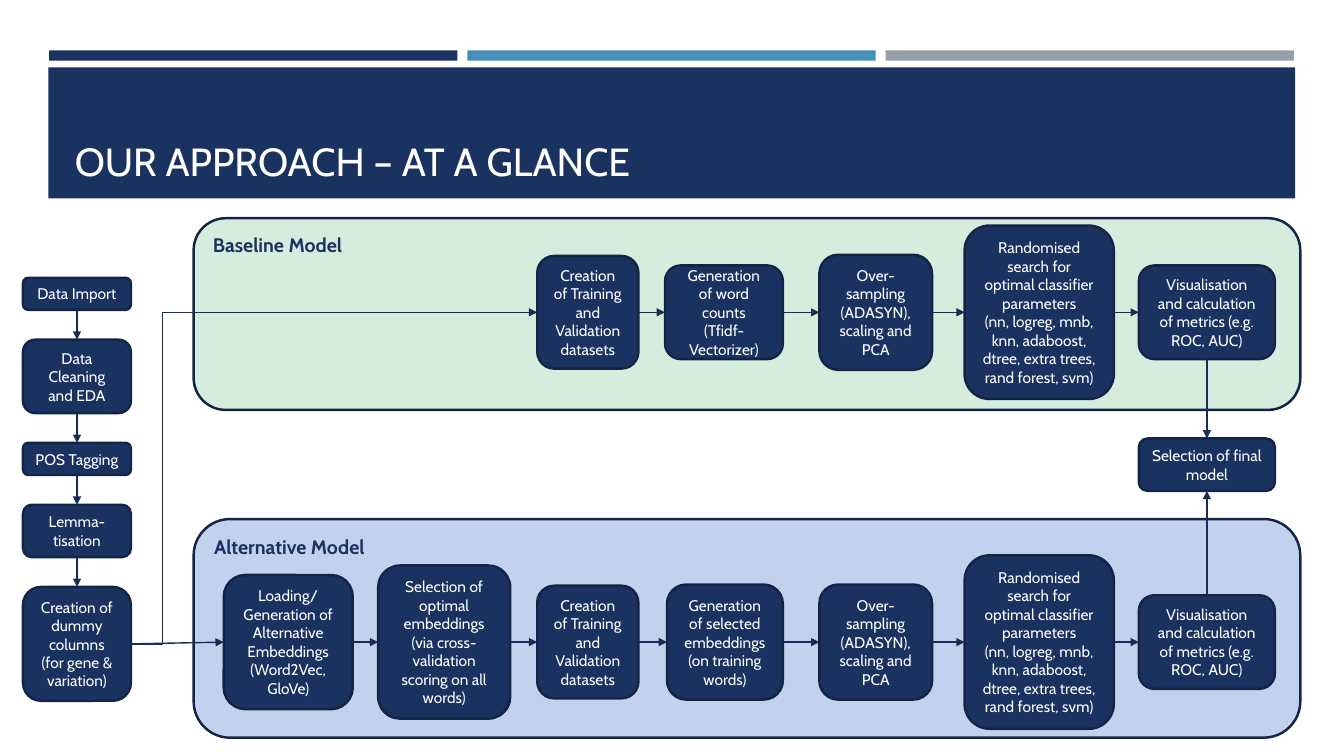
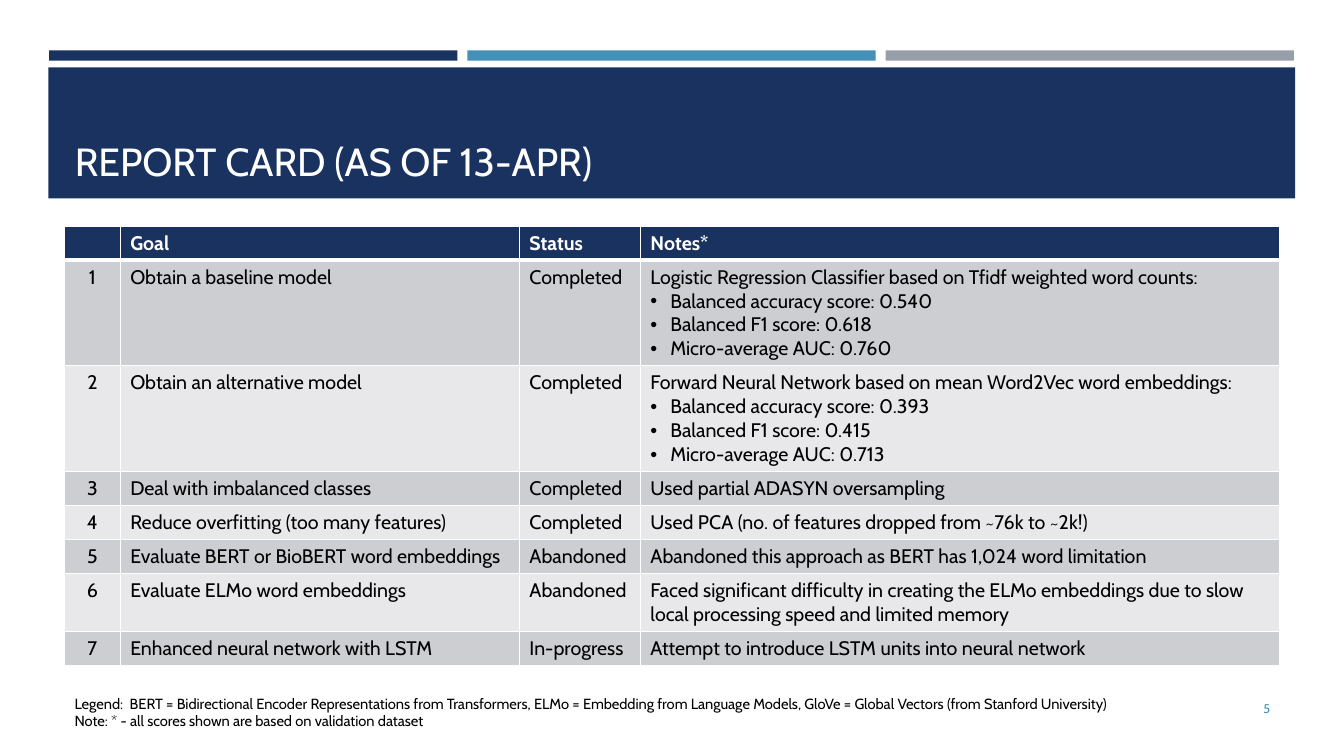
from itertools import pairwise

from lxml.etree import SubElement
from pptx import Presentation
from pptx.dml.color import RGBColor
from pptx.enum.shapes import MSO_CONNECTOR as Connector, MSO_SHAPE as Shape
from pptx.enum.text import MSO_ANCHOR as Anchor, PP_ALIGN as Align
from pptx.oxml.ns import qn
from pptx.util import Cm, Pt

COLOURS = {
    "navy": "1A3260", "outline": "132547", "arrow": "172D56",
    "blue": "4590B8", "grey": "969FA7", "white": "FFFFFF", "black": "000000",
    "green band": "D6EDDE", "blue band": "C2D1EE",
    "odd row": "CDCED2", "even row": "E8E8EA",
}
FONT = "Cabin"
TOP, LEFT, BOTTOM, RIGHT = range(4)  # connection sites of a box

# Each step: left edge within its band, width, height, text
TRAINING = (8.66, 2.55, 2.84, "Creation of Training and Validation datasets")
COMMON_STEPS = [
    (15.77, 2.84, 2.9, "Over-sampling\n(ADASYN), scaling and PCA"),
    (19.43, 3.76, 4.37, "Randomised search for optimal classifier parameters\n"
     "(nn, logreg, mnb, knn, adaboost, dtree, extra trees, rand forest, svm)"),
    (23.82, 3.43, 2.36, "Visualisation and calculation of metrics (e.g. ROC, AUC)"),
]
BASELINE_STEPS = [
    TRAINING,
    (11.88, 2.97, 2.36, "Generation of word counts\n(Tfidf-Vectorizer)"),
    *COMMON_STEPS,
]
ALTERNATIVE_STEPS = [
    (0.76, 3.25, 3.38, "Loading/ Generation of Alternative Embeddings\n(Word2Vec, GloVe)"),
    (4.65, 3.33, 3.86, "Selection of optimal embeddings\n"
     "(via cross-validation scoring on all words)"),
    TRAINING,
    (11.93, 2.92, 2.9, "Generation of selected embeddings\n(on training words)"),
    *COMMON_STEPS,
]
PREPARATION_STEPS = [  # height, text
    (0.81, "Data Import"),
    (1.85, "Data Cleaning and EDA"),
    (0.81, "POS Tagging"),
    (1.32, "Lemma-tisation"),
    (2.87, "Creation of dummy columns\n(for gene & variation)"),
]

COLUMN_WIDTHS = [1.4, 10.06, 3.05, 16.12]
ROW_HEIGHTS = [0.85, 2.66, 2.66, 0.85, 0.85, 0.85, 1.47, 0.85]
GOALS = [
    ("", "Goal", "Status", "Notes*"),
    ("1", "Obtain a baseline model", "Completed",
     "Logistic Regression Classifier based on Tfidf weighted word counts:\n"
     "Balanced accuracy score: 0.540\nBalanced F1 score: 0.618\nMicro-average AUC: 0.760"),
    ("2", "Obtain an alternative model", "Completed",
     "Forward Neural Network based on mean Word2Vec word embeddings:\n"
     "Balanced accuracy score: 0.393\nBalanced F1 score: 0.415\nMicro-average AUC: 0.713"),
    ("3", "Deal with imbalanced classes", "Completed", "Used partial ADASYN oversampling"),
    ("4", "Reduce overfitting (too many features)", "Completed",
     "Used PCA (no. of features dropped from ~76k to ~2k!)"),
    ("5", "Evaluate BERT or BioBERT word embeddings", "Abandoned",
     "Abandoned this approach as BERT has 1,024 word limitation"),
    ("6", "Evaluate ELMo word embeddings", "Abandoned",
     "Faced significant difficulty in creating the ELMo embeddings due to slow "
     "local processing speed and limited memory"),
    ("7", "Enhanced neural network with LSTM", "In-progress",
     "Attempt to introduce LSTM units into neural network"),
]
LEGEND = (
    "Legend:  BERT = Bidirectional Encoder Representations from Transformers, "
    "ELMo = Embedding from Language Models, GloVe = Global Vectors (from Stanford University)\n"
    "Note: * - all scores shown are based on validation dataset"
)


def colour(name):
    return RGBColor.from_string(COLOURS[name])


def lengths(box):
    return [Cm(value) for value in box]


def write(text_frame, text, size, colour_name, align=Align.LEFT, bold=False):
    text_frame.text = text
    for paragraph in text_frame.paragraphs:
        paragraph.alignment = align
        for run in paragraph.runs:
            run.font.name, run.font.size, run.font.bold = FONT, Pt(size), bold
            run.font.color.rgb = colour(colour_name)


def add_panel(slide, kind, box, fill, outline=None):
    shape = slide.shapes.add_shape(kind, *lengths(box))
    shape.shadow.inherit = False
    shape.fill.solid()
    shape.fill.fore_color.rgb = colour(fill)
    if outline:
        shape.line.color.rgb = colour(outline)
        shape.line.width = Pt(1.75)
    else:
        shape.line.fill.background()
    return shape


def add_text(slide, box, text, size, colour_name, align=Align.LEFT, anchor=Anchor.TOP):
    text_frame = slide.shapes.add_textbox(*lengths(box)).text_frame
    text_frame.word_wrap = True
    text_frame.vertical_anchor = anchor
    write(text_frame, text, size, colour_name, align)


def add_titled_slide(presentation, title_text):
    slide = presentation.slides.add_slide(presentation.slide_layouts[5])
    # Accent bars and title band
    for index, name in enumerate(("navy", "blue", "grey")):
        add_panel(slide, Shape.RECTANGLE, (1.24 + 10.54 * index, 1.27, 10.29, 0.26), name)
    add_panel(slide, Shape.RECTANGLE, (1.22, 1.7, 31.42, 3.3), "navy")
    # Title, brought in front of the band
    title = slide.shapes.title
    title.left, title.top, title.width, title.height = lengths((1.63, 1.96, 30.63, 2.82))
    title.text_frame.vertical_anchor = Anchor.BOTTOM
    write(title.text_frame, title_text, 28, "white")
    slide.shapes._spTree.append(title._element)
    return slide


def add_step(slide, box, text):
    shape = add_panel(slide, Shape.ROUNDED_RECTANGLE, box, "navy", "outline")
    shape.text_frame.word_wrap = True
    shape.text_frame.vertical_anchor = Anchor.MIDDLE
    write(shape.text_frame, text, 11, "white", Align.CENTER)
    return shape


def add_arrow(slide, start, start_site, end, end_site, bend=None):
    kind = Connector.STRAIGHT if bend is None else Connector.ELBOW
    arrow = slide.shapes.add_connector(kind, 0, 0, 0, 0)
    arrow.begin_connect(start, start_site)
    arrow.end_connect(end, end_site)
    arrow.line.color.rgb = colour("arrow")
    arrow.line.width = Pt(1)
    SubElement(arrow.line._get_or_add_ln(), qn("a:tailEnd"), type="triangle")
    properties = arrow._element.spPr
    SubElement(properties, qn("a:effectLst"))
    if bend is not None:
        adjustments = properties.find(".//" + qn("a:avLst"))
        SubElement(adjustments, qn("a:gd"), name="adj1", fmla=f"val {bend}")


def add_model_band(slide, box, fill, heading, steps, axis):
    """Draw a band whose steps are centred on axis, measured from its top."""
    left, top, _, _ = box
    band = add_panel(slide, Shape.ROUNDED_RECTANGLE, box, fill, "outline")
    band.text_frame.vertical_anchor = Anchor.TOP
    write(band.text_frame, heading, 14, "navy", bold=True)
    shapes = [
        add_step(slide, (left + offset, top + axis - height / 2, width, height), text)
        for offset, width, height, text in steps
    ]
    for start, end in pairwise(shapes):
        add_arrow(slide, start, RIGHT, end, LEFT)
    return shapes


def add_preparation(slide, left, top, width, gap):
    shapes = []
    for height, text in PREPARATION_STEPS:
        shapes.append(add_step(slide, (left, top, width, height), text))
        top += height + gap
    for start, end in pairwise(shapes):
        add_arrow(slide, start, BOTTOM, end, TOP)
    return shapes


def build_approach_slide(presentation):
    slide = add_titled_slide(presentation, "OUR APPROACH – AT A GLANCE")
    baseline = add_model_band(slide, (4.88, 5.5, 27.89, 4.83), "green band",
                              "Baseline Model", BASELINE_STEPS, 2.37)
    alternative = add_model_band(slide, (4.88, 13.08, 27.89, 5.51), "blue band",
                                 "Alternative Model", ALTERNATIVE_STEPS, 3.1)
    preparation = add_preparation(slide, 0.58, 7, 2.72, 0.75)
    final = add_step(slide, (28.7, 11.05, 3.43, 1.32), "Selection of final model")
    # Arrows between the regions
    add_arrow(slide, preparation[-1], RIGHT, baseline[0], LEFT, bend=7800)
    add_arrow(slide, preparation[-1], RIGHT, alternative[0], LEFT)
    add_arrow(slide, baseline[-1], BOTTOM, final, TOP)
    add_arrow(slide, alternative[-1], TOP, final, BOTTOM)


def add_bullet(paragraph):
    properties = paragraph._p.get_or_add_pPr()
    properties.set("marL", str(Cm(0.5)))
    properties.set("indent", str(-Cm(0.5)))
    SubElement(properties, qn("a:buFont"), typeface="Arial")
    SubElement(properties, qn("a:buChar"), char="•")


def add_borders(cell, bottom_width):
    for side, width in (("L", 1), ("R", 1), ("T", 1), ("B", bottom_width)):
        line = SubElement(cell._tc.get_or_add_tcPr(), qn(f"a:ln{side}"), w=str(Pt(width)))
        fill = SubElement(line, qn("a:solidFill"))
        SubElement(fill, qn("a:srgbClr"), val=COLOURS["white"])


def fill_cell(cell, text, row, column):
    header = row == 0
    add_borders(cell, 3 if header else 1)
    cell.fill.solid()
    cell.fill.fore_color.rgb = colour(
        "navy" if header else "odd row" if row % 2 else "even row")
    write(cell.text_frame, text, 14, "white" if header else "black",
          Align.LEFT if column else Align.CENTER, bold=header)
    first, *details = cell.text_frame.paragraphs
    if not text:
        first._p.get_or_add_endParaRPr().set("sz", "1400")
    for paragraph in details:
        add_bullet(paragraph)


def add_goal_table(slide, left, top):
    box = (left, top, sum(COLUMN_WIDTHS), sum(ROW_HEIGHTS))
    table = slide.shapes.add_table(len(GOALS), len(COLUMN_WIDTHS), *lengths(box)).table
    for column, width in zip(table.columns, COLUMN_WIDTHS):
        column.width = Cm(width)
    for row, height in zip(table.rows, ROW_HEIGHTS):
        row.height = Cm(height)
    for row, texts in enumerate(GOALS):
        for column, text in enumerate(texts):
            fill_cell(table.cell(row, column), text, row, column)


def build_report_slide(presentation):
    slide = add_titled_slide(presentation, "REPORT CARD (AS OF 13-APR)")
    add_goal_table(slide, 1.63, 5.7)
    # Page number and legend
    add_text(slide, (29.33, 17.35, 2.93, 1.02), "5", 9, "blue", Align.RIGHT, Anchor.MIDDLE)
    add_text(slide, (1.63, 17.38, 30.63, 1.18), LEGEND, 10.5, "black")


def main():
    presentation = Presentation()
    presentation.slide_width, presentation.slide_height = Cm(33.87), Cm(19.05)
    build_approach_slide(presentation)
    build_report_slide(presentation)
    presentation.save("out.pptx")


if __name__ == "__main__":
    main()
